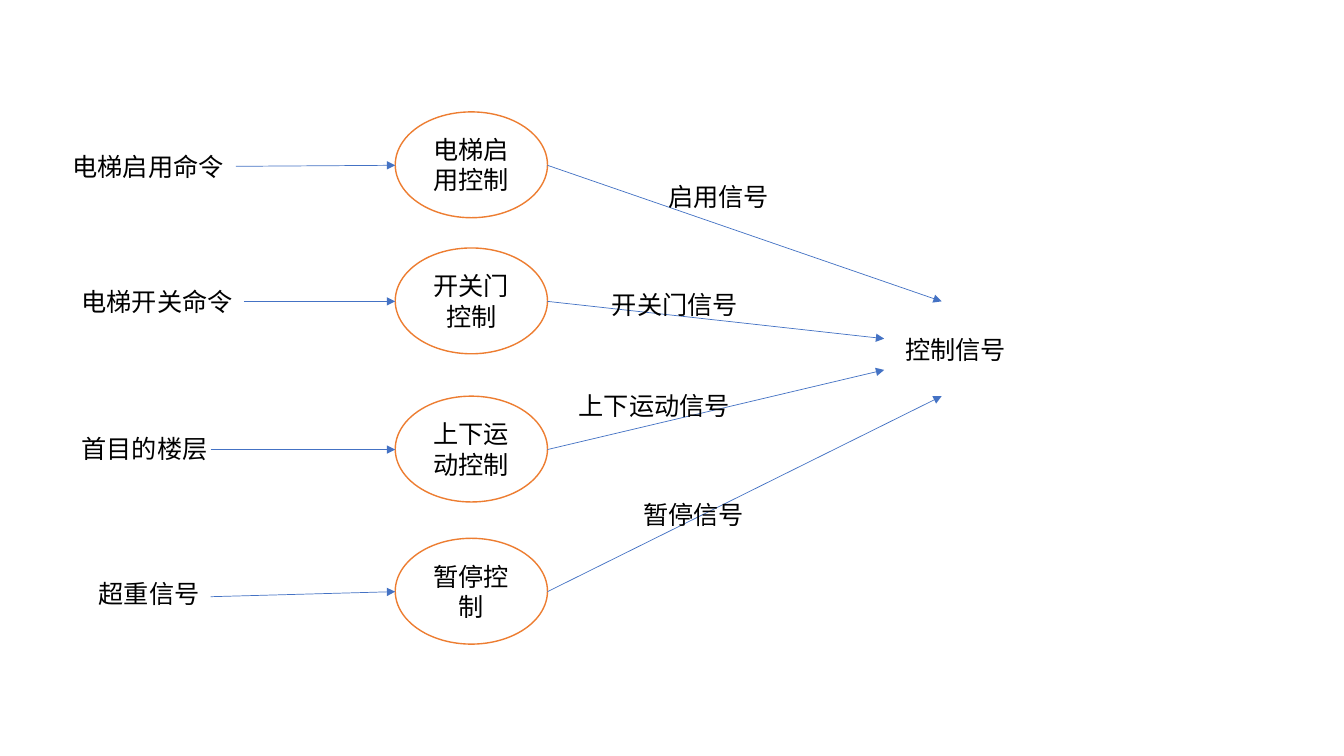
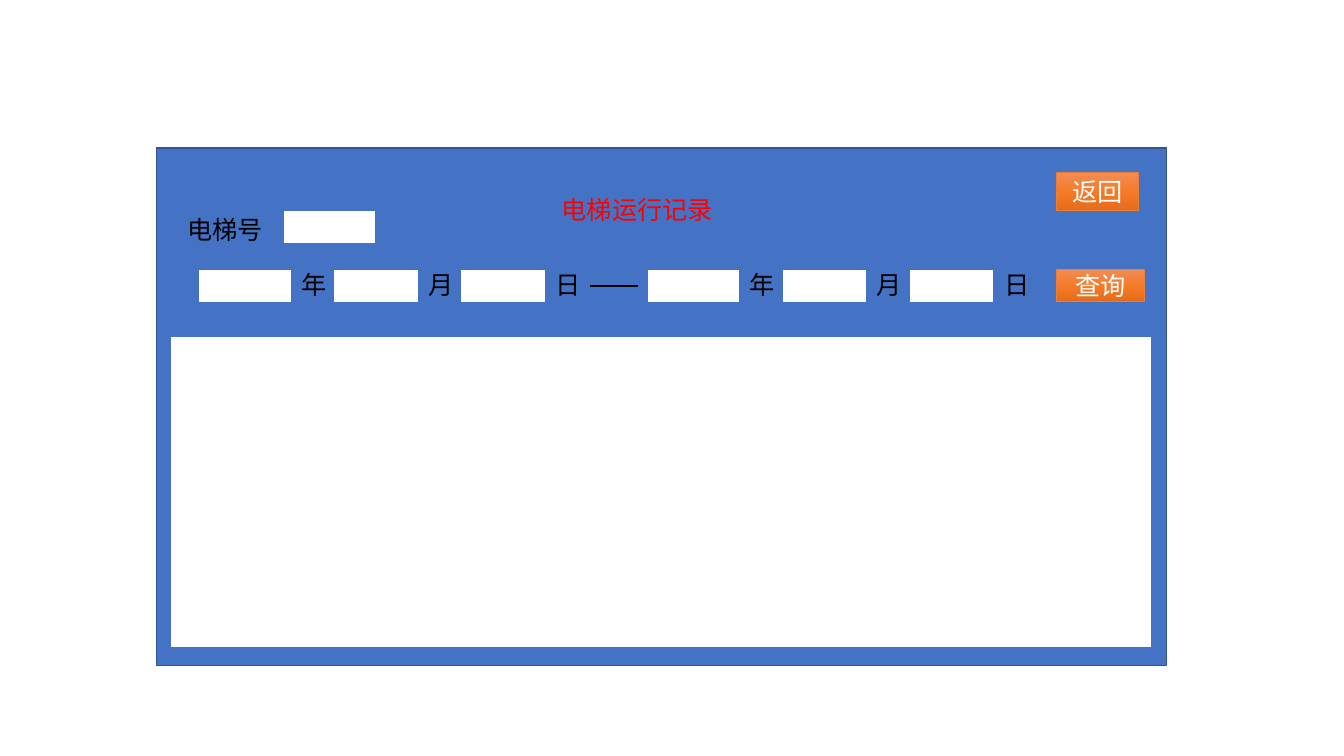
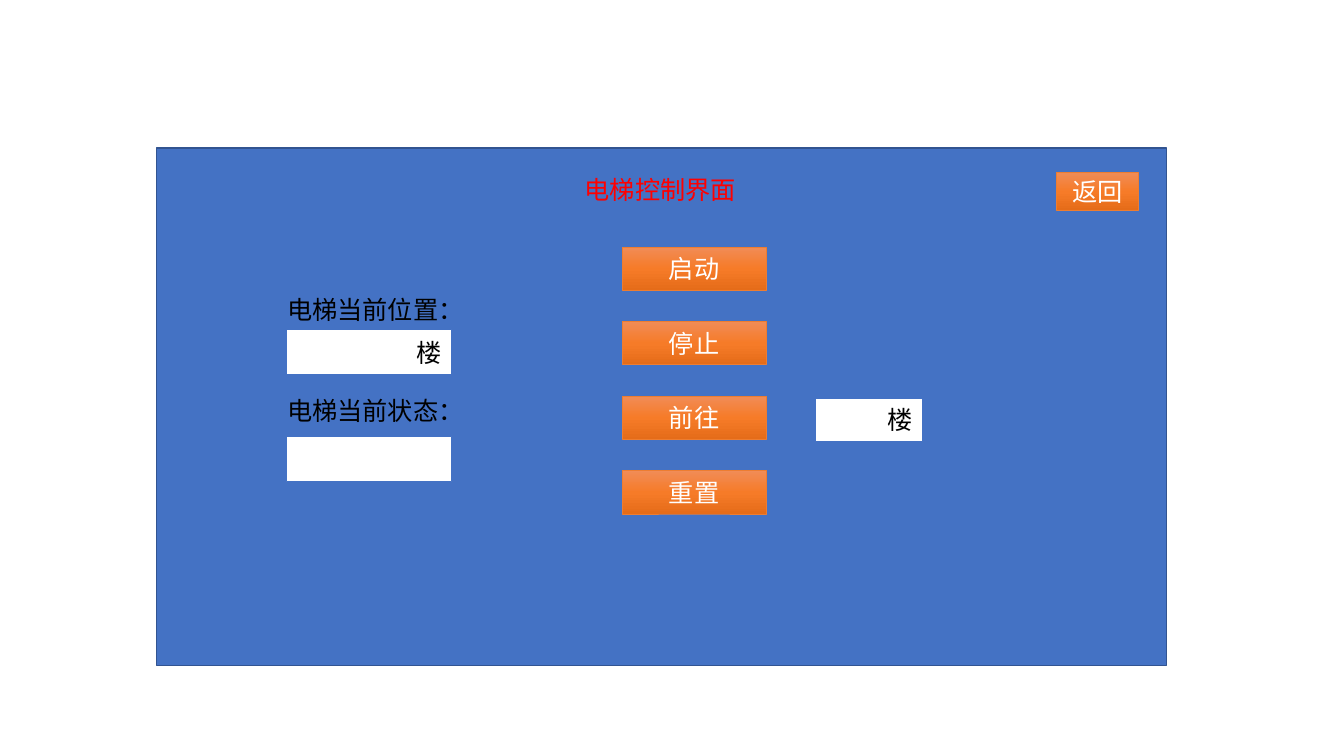
from lxml import etree
from pptx import Presentation
from pptx import util as u
from pptx.dml.color import RGBColor
from pptx.enum import shapes as kinds, text as txt
from pptx.oxml.ns import qn

PX = 9144
FONT = "Noto Sans CJK SC"
BLACK = RGBColor(0x00, 0x00, 0x00)
WHITE = RGBColor(0xFF, 0xFF, 0xFF)
RED = RGBColor(0xFF, 0x00, 0x00)
BLUE = RGBColor(0x44, 0x72, 0xC4)
NAVY = RGBColor(0x32, 0x54, 0x91)
ORANGE = RGBColor(0xED, 0x7D, 0x31)
GLOSS = (
    (0, RGBColor(0xF1, 0x8C, 0x57)),
    (50, RGBColor(0xF6, 0x7B, 0x28)),
    (100, RGBColor(0xE5, 0x6C, 0x19)),
)
RECT = kinds.MSO_SHAPE.RECTANGLE
OVAL = kinds.MSO_SHAPE.OVAL
LEFT = txt.PP_ALIGN.LEFT
MID = txt.PP_ALIGN.CENTER
RIGHT = txt.PP_ALIGN.RIGHT


def px(*sizes):
    return [u.Emu(size * PX) for size in sizes]


def write(frame, words, color=BLACK, align=LEFT, anchor=txt.MSO_ANCHOR.TOP):
    frame.vertical_anchor = anchor
    para = frame.paragraphs[0]
    para.alignment = align
    para.line_spacing = 1.0
    run = para.add_run()
    run.text = words
    font = run.font
    font.size = u.Pt(18)
    font.color.rgb = color
    font.name = FONT
    etree.SubElement(run._r.get_or_add_rPr(), qn("a:ea"), typeface=FONT)


def fit(frame):
    frame.word_wrap = False
    frame.auto_size = txt.MSO_AUTO_SIZE.SHAPE_TO_FIT_TEXT


def label(slide, words, x, y, wide):
    frame = slide.shapes.add_textbox(*px(x, y, wide, 40)).text_frame
    fit(frame)
    write(frame, words)


def box(slide, x, y, wide, high, words="", kind=RECT, fill=WHITE,
        edge=BLUE, width=1, color=BLACK, align=MID):
    shape = slide.shapes.add_shape(kind, *px(x, y, wide, high))
    shape.shadow.inherit = False
    shape.fill.solid()
    shape.fill.fore_color.rgb = fill
    shape.line.color.rgb = edge
    shape.line.width = u.Pt(width)
    if words:
        write(shape.text_frame, words, color=color, align=align,
              anchor=txt.MSO_ANCHOR.MIDDLE)
    return shape


def button(slide, words, x, y, wide, high):
    shape = box(slide, x, y, wide, high, words, edge=ORANGE, width=0.5,
                color=WHITE)
    shape.fill.gradient()
    shape.fill.gradient_angle = 270
    stops = shape.element.spPr.find(".//" + qn("a:gsLst"))
    for stop in list(stops):
        stops.remove(stop)
    for part, tint in GLOSS:
        stop = etree.SubElement(stops, qn("a:gs"), pos=str(part * 1000))
        etree.SubElement(stop, qn("a:srgbClr"), val=str(tint))


def line(slide, start, end, color=BLUE, width=0.5, arrow=True):
    link = slide.shapes.add_connector(
        kinds.MSO_CONNECTOR.STRAIGHT, *px(*start, *end))
    link.line.color.rgb = color
    link.line.width = u.Pt(width)
    if arrow:
        etree.SubElement(link.line._get_or_add_ln(), qn("a:tailEnd"),
                         type="triangle")
    etree.SubElement(link.element.spPr, qn("a:effectLst"))


def panel(deck, title, x, y):
    slide = deck.slides.add_slide(deck.slide_layouts[5])
    box(slide, 155, 147, 1002, 513, fill=BLUE, edge=NAVY)
    head = slide.shapes.title
    head.left, head.top, head.width, head.height = px(x, y, 172, 40)
    fit(head.text_frame)
    write(head.text_frame, title, color=RED)
    head.element.getparent().append(head.element)
    button(slide, "返回", 1048, 171, 81, 38)
    return slide


def date(slide, x):
    for word, left, wide in (("年", 0, 92), ("月", 134, 84), ("日", 260, 84)):
        box(slide, x + left, 267, wide, 33)
        label(slide, word, x + left + wide, 262, 44)


def flow(deck):
    slide = deck.slides.add_slide(deck.slide_layouts[6])
    rows = (
        (111, "电梯启用控制", ("电梯启用命令", 62, 145, 172), (234, 165),
         ("启用信号", 653, 175, 121), (934, 299)),
        (246, "开关门控制", ("电梯开关命令", 71, 279, 172), (242, 299),
         ("开关门信号", 597, 282, 146), (877, 336)),
        (393, "上下运动控制", ("首目的楼层", 71, 425, 147), (209, 446),
         ("上下运动信号", 564, 382, 172), (877, 367)),
        (534, "暂停控制", ("超重信号", 88, 569, 121), (209, 592),
         ("暂停信号", 628, 490, 121), (934, 393)),
    )
    for top, step, source, start, signal, end in rows:
        box(slide, 392, top, 151, 105, step, kind=OVAL, edge=ORANGE)
        level = top + 53
        line(slide, start, (392, level))
        line(slide, (543, level), end)
        label(slide, *source)
        label(slide, *signal)
    label(slide, "控制信号", 888, 327, 121)


def log(deck):
    slide = panel(deck, "电梯运行记录", 547, 188)
    label(slide, "电梯号", 176, 208, 96)
    box(slide, 281, 209, 92, 33)
    for x in (197, 642):
        date(slide, x)
    line(slide, (585, 284), (633, 284), color=BLACK, width=1.5, arrow=False)
    button(slide, "查询", 1048, 267, 87, 32)
    box(slide, 169, 334, 973, 309)


def control(deck):
    slide = panel(deck, "电梯控制界面", 570, 168)
    for words, y, field, unit in (("电梯当前位置：", 287, 327, "楼"),
                                  ("电梯当前状态：", 387, 433, "")):
        label(slide, words, 275, y, 197)
        box(slide, 284, field, 164, 45, unit, align=RIGHT)
    for row, words in enumerate(("启动", "停止", "前往", "重置")):
        button(slide, words, 617, 245 + 74 * row, 143, 43)
    box(slide, 809, 395, 106, 43, "楼", align=RIGHT)


def main():
    deck = Presentation()
    deck.slide_width, deck.slide_height = px(1333, 750)
    flow(deck)
    log(deck)
    control(deck)
    deck.save("out.pptx")


if __name__ == "__main__":
    main()
